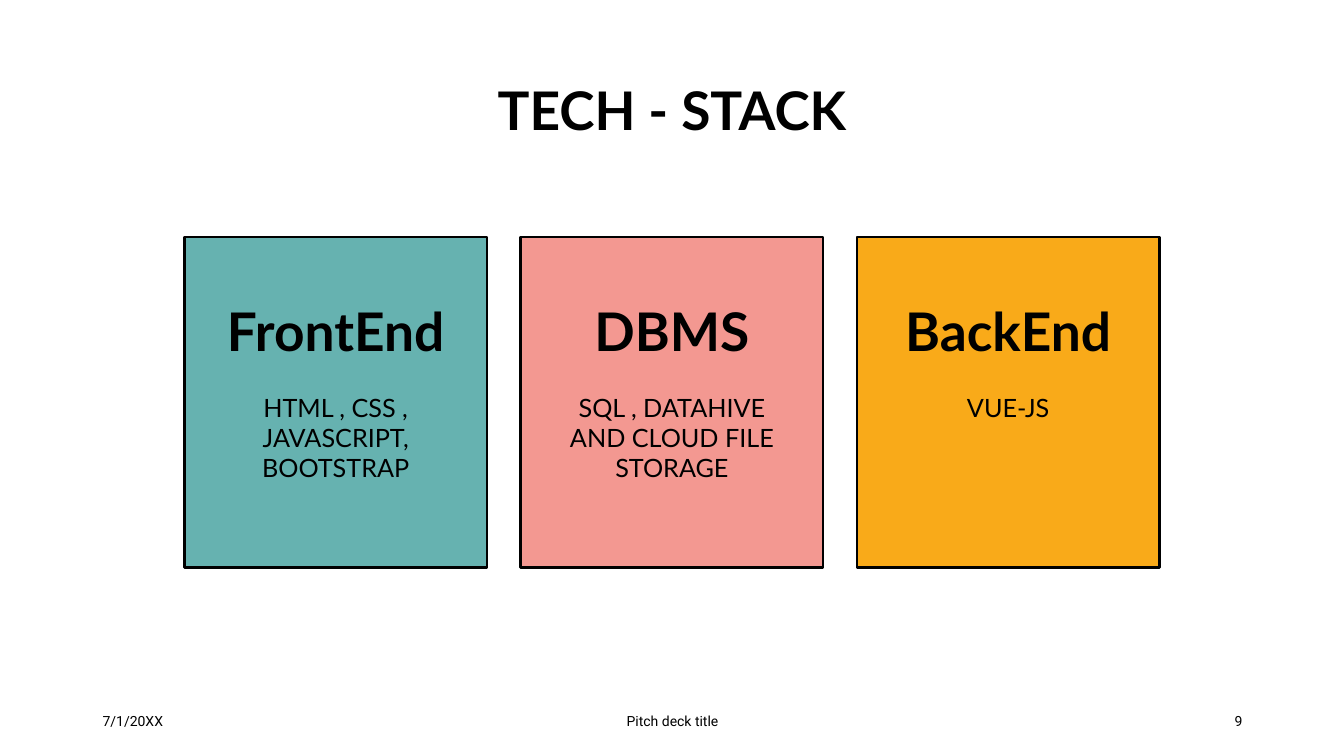
from pptx import Presentation
from pptx import util as u
from pptx.dml import color
from pptx.enum import shapes, text

COLORS = {
    "ink": "000000",
    "teal": "66B2B0",
    "pink": "F39891",
    "amber": "F9AA19",
}
SLIDE_WIDTH, SLIDE_HEIGHT = 13.33, 7.5
MARGIN = 0.92
CARD_LEFT, CARD_TOP = 1.83, 2.35
CARD_WIDTH, CARD_HEIGHT = 3, 3.28
CARD_STEP = 3.335
DETAIL_WIDTH, DETAIL_TOP = 2.5, 3.84
FOOTER_TOP, FOOTER_HEIGHT = 6.95, 0.4
LEFT, CENTER, RIGHT = (
    text.PP_ALIGN.LEFT,
    text.PP_ALIGN.CENTER,
    text.PP_ALIGN.RIGHT,
)
TOP, MIDDLE = text.MSO_ANCHOR.TOP, text.MSO_ANCHOR.MIDDLE

CARDS = [
    ("FrontEnd", ["HTML , CSS , JAVASCRIPT,", "BOOTSTRAP"], "teal"),
    ("DBMS", ["SQL , DATAHIVE AND CLOUD FILE STORAGE"], "pink"),
    ("BackEnd", ["VUE-JS"], "amber"),
]
FOOTERS = [
    ("7/1/20XX", MARGIN, 3, LEFT),
    ("Pitch deck title", 4.42, 4.5, CENTER),
    ("9", 9.42, 3, RIGHT),
]


def rgb(name):
    return color.RGBColor.from_string(COLORS[name])


def inches(*lengths):
    return [u.Inches(length) for length in lengths]


def write(box, lines, size=18, font="Lato", bold=False, align=CENTER,
          anchor=TOP, spacing=1.0, top_inset=0.05):
    frame = box.text_frame
    frame.word_wrap = True
    frame.vertical_anchor = anchor
    frame.margin_top = u.Inches(top_inset)
    for index, line in enumerate(lines):
        para = frame.paragraphs[0] if index == 0 else frame.add_paragraph()
        para.alignment = align
        para.line_spacing = spacing
        span = para.add_run()
        span.text = line
        span.font.size = u.Pt(size)
        span.font.name = font
        span.font.bold = bold
        span.font.color.rgb = rgb("ink")


def add_label(page, area, lines, **style):
    write(page.shapes.add_textbox(*inches(*area)), lines, **style)


def add_card(page, column, heading, details, fill):
    left = CARD_LEFT + column * CARD_STEP
    card = page.shapes.add_shape(
        shapes.MSO_SHAPE.RECTANGLE,
        *inches(left, CARD_TOP, CARD_WIDTH, CARD_HEIGHT))
    card.shadow.inherit = False
    card.fill.solid()
    card.fill.fore_color.rgb = rgb(fill)
    card.line.color.rgb = rgb("ink")
    card.line.width = u.Pt(1.75)
    write(card, [heading], size=38, bold=True, spacing=0.9, top_inset=0.68)
    detail_left = left + (CARD_WIDTH - DETAIL_WIDTH) / 2
    add_label(page, (detail_left, DETAIL_TOP, DETAIL_WIDTH, 0.8), details)


def main():
    deck = Presentation()
    deck.slide_width, deck.slide_height = inches(SLIDE_WIDTH, SLIDE_HEIGHT)
    page = deck.slides.add_slide(deck.slide_layouts[6])
    add_label(page, (MARGIN, 0.4, SLIDE_WIDTH - 2 * MARGIN, 1.45),
              ["TECH - STACK"], size=38, bold=True, anchor=MIDDLE,
              spacing=0.9)
    for column, (heading, details, fill) in enumerate(CARDS):
        add_card(page, column, heading, details, fill)
    for line, left, width, align in FOOTERS:
        add_label(page, (left, FOOTER_TOP, width, FOOTER_HEIGHT), [line],
                  size=10, font="Roboto", align=align, anchor=MIDDLE)
    deck.save("out.pptx")


if __name__ == "__main__":
    main()
